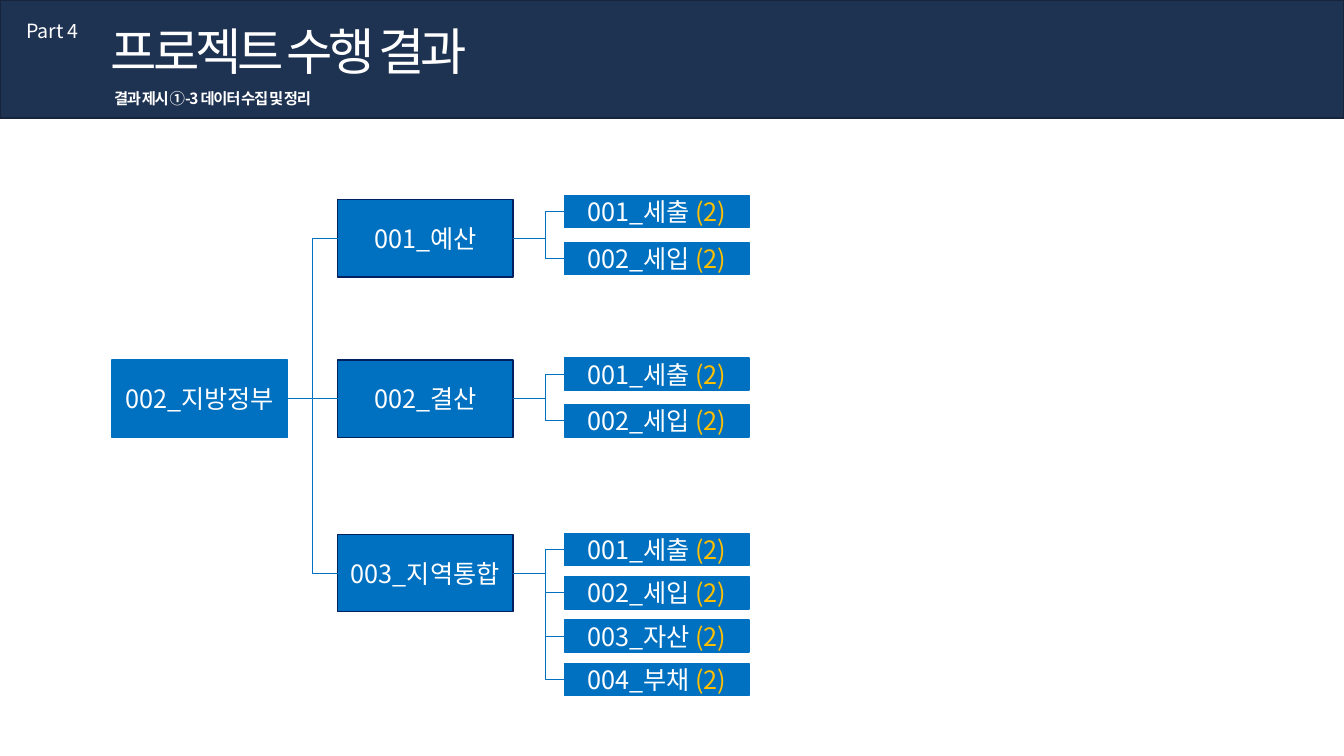
from lxml.etree import SubElement
from pptx import Presentation
from pptx.dml.color import RGBColor
from pptx.enum.shapes import MSO_CONNECTOR as Connector, MSO_SHAPE as Preset
from pptx.enum.text import MSO_ANCHOR as Anchor, MSO_AUTO_SIZE as AutoSize, PP_ALIGN as Align
from pptx.oxml.ns import qn
from pptx.util import Inches, Pt

NAVY = RGBColor(0x1E, 0x32, 0x52)
NAVY_EDGE = RGBColor(0x16, 0x25, 0x3D)
BLUE = RGBColor(0x00, 0x70, 0xC0)
DARK_BLUE = RGBColor(0x00, 0x20, 0x60)
GOLD = RGBColor(0xFF, 0xC0, 0x00)
WHITE = RGBColor(0xFF, 0xFF, 0xFF)

FONT = "Noto Sans CJK KR"
COLUMNS, ROWS = 40, 30
RIGHT, LEFT = 3, 1

ROOT_LEFT, BRANCH_LEFT, LEAF_LEFT = 3.33, 10.05, 16.8
NODE_WIDTH, NODE_HEIGHT = 5.22, 3.08
LEAF_WIDTH, LEAF_HEIGHT = 5.49, 1.28
ROOT_TOP = 14.28
BRANCH_TRUNK, LEAF_TRUNK = 9.3, 16.23

BRANCHES = [
    ("001_예산", 7.92, 7.76, 1.86, ["001_세출", "002_세입"]),
    ("002_결산", ROOT_TOP, 14.2, 1.86, ["001_세출", "002_세입"]),
    ("003_지역통합", 21.2, 21.16, 1.72, ["001_세출", "002_세입", "003_자산", "004_부채"]),
]


class TreeSlide:
    def __init__(self, presentation):
        self.slide = presentation.slides.add_slide(presentation.slide_layouts[5])
        self.column = presentation.slide_width / COLUMNS
        self.row = presentation.slide_height / ROWS

    def across(self, columns):
        return round(columns * self.column)

    def down(self, rows):
        return round(rows * self.row)

    def area(self, left, top, width, height):
        return self.across(left), self.down(top), self.across(width), self.down(height)

    def style(self, paragraph, size, align=Align.LEFT, bold=False, spacing=0):
        paragraph.alignment = align
        font = paragraph.font
        font.name, font.size, font.bold = FONT, Pt(size), bold
        font.color.rgb = WHITE
        properties = paragraph._p.pPr.find(qn("a:defRPr"))
        properties.set("spc", str(spacing * 100))
        SubElement(properties, qn("a:ea")).set("typeface", FONT)

    def fill_label(self, shape, text, size, **style):
        frame = shape.text_frame
        frame.word_wrap = False
        frame.auto_size = AutoSize.NONE
        frame.vertical_anchor = Anchor.TOP
        frame.text = text
        self.style(frame.paragraphs[0], size, **style)

    def title(self, text, area, size, behind, **style):
        shape = self.slide.shapes.title
        shape.left, shape.top, shape.width, shape.height = self.area(*area)
        self.fill_label(shape, text, size, **style)
        behind.element.addnext(shape.element)

    def label(self, text, area, size, **style):
        shape = self.slide.shapes.add_textbox(*self.area(*area))
        self.fill_label(shape, text, size, **style)

    def box(self, area, fill, edge, text="", count=""):
        shape = self.slide.shapes.add_shape(Preset.RECTANGLE, *self.area(*area))
        shape.shadow.inherit = False
        shape.fill.solid()
        shape.fill.fore_color.rgb = fill
        shape.line.color.rgb = edge
        shape.line.width = Pt(1)
        if text:
            frame = shape.text_frame
            frame.vertical_anchor = Anchor.MIDDLE
            frame.margin_top = frame.margin_bottom = 0
            paragraph = frame.paragraphs[0]
            self.style(paragraph, 18, align=Align.CENTER)
            paragraph.add_run().text = text
            if count:
                run = paragraph.add_run()
                run.text = count
                run.font.color.rgb = GOLD
        return shape

    def line(self, x1, y1, x2, y2):
        connector = self.slide.shapes.add_connector(Connector.STRAIGHT, x1, y1, x2, y2)
        connector.line.color.rgb = BLUE
        connector.line.width = Pt(0.5)
        SubElement(connector.element.spPr, qn("a:effectLst"))
        return connector

    def fork(self, parent, children, column):
        trunk = self.across(column)
        middles = [child.top + child.height // 2 for child in children]
        level = parent.top + parent.height // 2
        self.line(parent.left + parent.width, level, trunk, level).begin_connect(parent, RIGHT)
        self.line(trunk, middles[0], trunk, middles[-1])
        for child, middle in zip(children, middles):
            self.line(trunk, middle, child.left, middle).end_connect(child, LEFT)


def main():
    presentation = Presentation()
    presentation.slide_width, presentation.slide_height = Inches(13.33), Inches(7.5)
    tree = TreeSlide(presentation)

    header = tree.box((0, 0, COLUMNS, 4.68), NAVY, NAVY_EDGE)
    tree.title("프로젝트 수행 결과", (3, 0.6, 12.5, 2.84), 36, header, spacing=-3)
    tree.label("Part 4", (0.48, 0.56, 2.2, 1.36), 14)
    tree.label("결과 제시 ①-3 데이터 수집 및 정리", (3.1, 3.32, 7.2, 1.16), 11, bold=True, spacing=-1)

    root = tree.box((ROOT_LEFT, ROOT_TOP, NODE_WIDTH, NODE_HEIGHT), BLUE, BLUE, "002_지방정부")
    branches = []
    for name, top, leaf_top, pitch, leaf_names in BRANCHES:
        branch = tree.box((BRANCH_LEFT, top, NODE_WIDTH, NODE_HEIGHT), BLUE, DARK_BLUE, name)
        leaves = [
            tree.box((LEAF_LEFT, leaf_top + index * pitch, LEAF_WIDTH, LEAF_HEIGHT), BLUE, BLUE, leaf, " (2)")
            for index, leaf in enumerate(leaf_names)
        ]
        tree.fork(branch, leaves, LEAF_TRUNK)
        branches.append(branch)
    tree.fork(root, branches, BRANCH_TRUNK)

    presentation.save("out.pptx")


if __name__ == "__main__":
    main()
